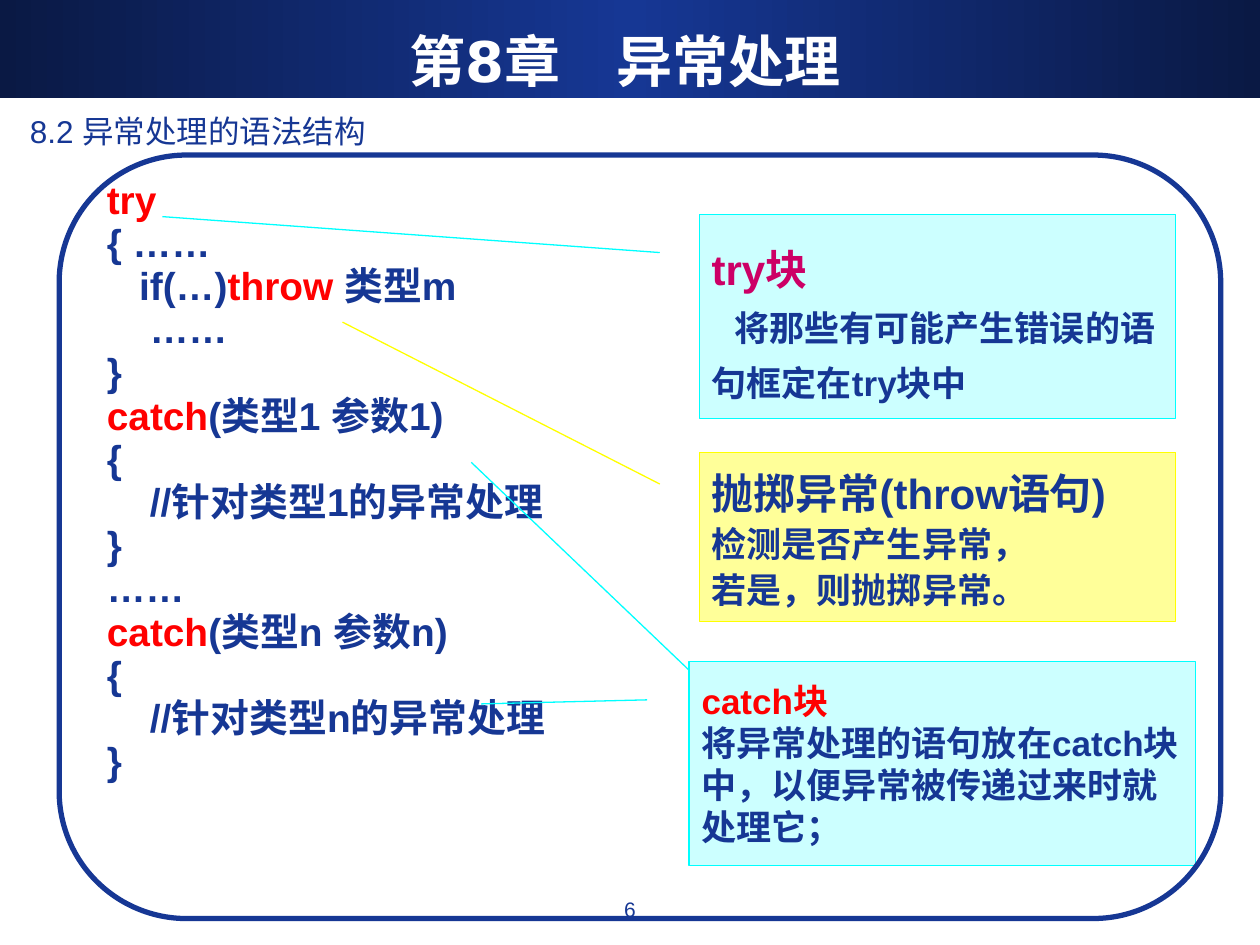
from copy import deepcopy

from lxml.etree import SubElement
from pptx import Presentation
from pptx.dml.color import RGBColor
from pptx.enum.shapes import MSO_CONNECTOR, MSO_SHAPE
from pptx.enum.text import MSO_ANCHOR, PP_ALIGN
from pptx.oxml.ns import qn
from pptx.util import Pt

NAVY = RGBColor(0x16, 0x37, 0x94)
DARK = RGBColor(0x0A, 0x19, 0x44)
WHITE = RGBColor(0xFF, 0xFF, 0xFF)
RED = RGBColor(0xFF, 0x00, 0x00)
MAGENTA = RGBColor(0xCC, 0x00, 0x66)
CYAN = RGBColor(0x00, 0xFF, 0xFF)
PALE_CYAN = RGBColor(0xCC, 0xFF, 0xFF)
YELLOW = RGBColor(0xFF, 0xFF, 0x00)
PALE_YELLOW = RGBColor(0xFF, 0xFF, 0x99)

# Content
TITLE = "第8章　异常处理"
SECTION = "8.2 异常处理的语法结构"
PAGE = "6"


def catch_block(kind):
    return [
        [("catch", RED), (f"(类型{kind} 参数{kind})", NAVY)],
        "{",
        f"    //针对类型{kind}的异常处理",
        "}",
    ]


CODE = [
    [("try", RED)],
    "{ ……",
    [("   if(…)", NAVY), ("throw ", RED), ("类型m", NAVY)],
    "    ……",
    "}",
    *catch_block("1"),
    "……",
    *catch_block("n"),
]

# Callouts: box, pointer (y1, x1, y2, x2), colours, heading, body, spacing
CALLOUTS = [
    dict(box=(399.6, 122.4, 272.2, 116.6), pointer=(0.188, -0.083, 0.012, -1.127),
         fill=PALE_CYAN, line=CYAN, head="try块", head_size=24, head_color=MAGENTA,
         body=["将那些有可能产生错误的语句框定在try块中"], spacing=1.3, indent=13),
    dict(box=(393.8, 378, 289.4, 116.6), pointer=(0.188, -0.083, 0.208, -0.411),
         fill=PALE_CYAN, line=CYAN, head="catch块", head_size=20, head_color=RED,
         body=["将异常处理的语句放在catch块中，以便异常被传递过来时就处理它；"],
         spacing=1.0, indent=0),
    dict(box=(399.6, 258.5, 272.2, 96.5), pointer=(0.188, -0.083, -0.771, -0.749),
         fill=PALE_YELLOW, line=YELLOW, head="抛掷异常(throw语句)", head_size=24,
         head_color=NAVY, body=["检测是否产生异常，", "若是，则抛掷异常。"],
         spacing=1.1, indent=0),
]

prs = Presentation()
prs.slide_width, prs.slide_height = Pt(720), Pt(540)
slide = prs.slides.add_slide(prs.slide_layouts[6])


def add_text(tf, text, size=18, color=NAVY, bold=False, font="Arial",
             align=PP_ALIGN.LEFT, spacing=None, indent=0):
    """Append one paragraph; text is a string or a list of (text, colour)."""
    p = tf.paragraphs[0] if not tf.text else tf.add_paragraph()
    p.alignment = align
    if spacing:
        p.line_spacing = spacing
    if indent:
        p._p.get_or_add_pPr().set("indent", str(Pt(indent)))
    for part, part_color in [(text, color)] if isinstance(text, str) else text:
        r = p.add_run()
        r.text = part
        r.font.name, r.font.size, r.font.bold = font, Pt(size), bold
        r.font.color.rgb = part_color


def add_box(*box, anchor=MSO_ANCHOR.TOP):
    tf = slide.shapes.add_textbox(*map(Pt, box)).text_frame
    tf.word_wrap = True
    tf.vertical_anchor = anchor
    return tf


def add_shape(kind, box, fill=None, line=None, width=0.75):
    s = slide.shapes.add_shape(kind, *map(Pt, box))
    s.shadow.inherit = False
    if fill is None:
        s.fill.background()
    else:
        s.fill.solid()
        s.fill.fore_color.rgb = fill
    if line is None:
        s.line.fill.background()
    else:
        s.line.color.rgb = line
        s.line.width = Pt(width)
    return s


# Title band, dark at both ends
band = add_shape(MSO_SHAPE.RECTANGLE, (0, 0, 720, 56))
band.fill.gradient()
band.fill.gradient_angle = 0
first, middle = band.fill.gradient_stops
first.color.rgb, first.position = DARK, 0
middle.color.rgb, middle.position = NAVY, 0.5
stops = band._element.spPr.find(".//" + qn("a:gsLst"))
last = deepcopy(stops[0])
last.set("pos", "100000")
stops.append(last)

# Page number, title and code
add_text(add_box(276, 509, 168, 25), PAGE, size=12, align=PP_ALIGN.CENTER)
add_text(add_box(24, 12, 666, 45, anchor=MSO_ANCHOR.MIDDLE), TITLE, size=32,
         color=WHITE, bold=True, font="DejaVu Sans", align=PP_ALIGN.CENTER)
code = add_box(54, 98.5, 330, 353)
for line in CODE:
    add_text(code, line, size=22.2, bold=True, spacing=Pt(24.7))

# Callouts
for c in CALLOUTS:
    s = add_shape(MSO_SHAPE.LINE_CALLOUT_1, c["box"], c["fill"], c["line"])
    for i, value in enumerate(c["pointer"]):
        s.adjustments[i] = value
    tf = s.text_frame
    tf.word_wrap = True
    tf.vertical_anchor = MSO_ANCHOR.MIDDLE
    add_text(tf, c["head"], size=c["head_size"], color=c["head_color"],
             bold=True, spacing=c["spacing"])
    for text in c["body"]:
        add_text(tf, text, size=20, bold=True, spacing=c["spacing"],
                 indent=c["indent"])

# Line from the catch callout to the first catch
link = slide.shapes.add_connector(MSO_CONNECTOR.STRAIGHT,
                                  Pt(393.8), Pt(383), Pt(269.3), Pt(264.2))
link.line.color.rgb = CYAN
link.line.width = Pt(0.75)
SubElement(link._element.spPr, qn("a:effectLst"))

# Frame and section heading
frame = add_shape(MSO_SHAPE.ROUNDED_RECTANGLE, (33.8, 88.6, 663.8, 436.3),
                  line=NAVY, width=3)
frame.adjustments[0] = 0.167
add_text(add_box(10, 60.5, 656, 29.5), SECTION)

prs.save("out.pptx")
